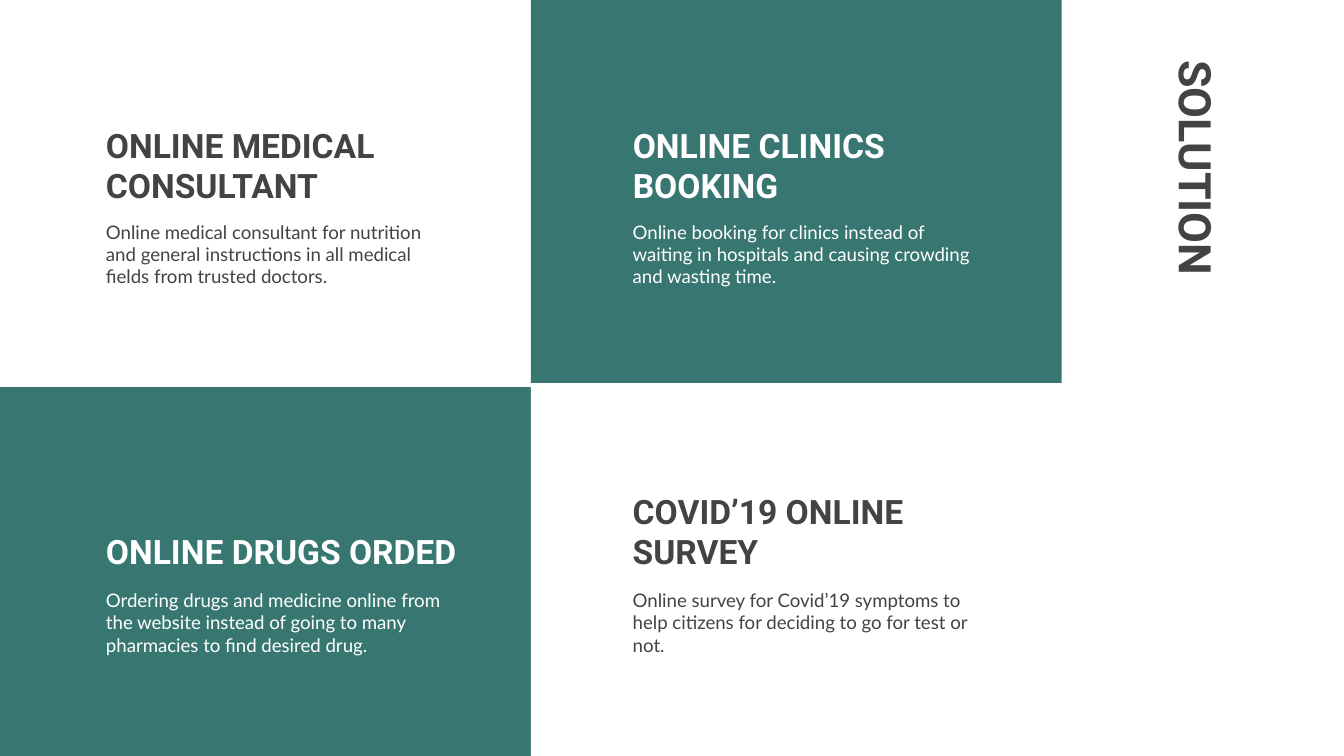
from pptx import Presentation
from pptx.dml.color import RGBColor
from pptx.enum.shapes import MSO_SHAPE
from pptx.enum.text import MSO_ANCHOR, MSO_AUTO_SIZE, PP_ALIGN
from pptx.util import Inches, Pt

RECT = MSO_SHAPE.RECTANGLE
TOP, MIDDLE, BOTTOM = MSO_ANCHOR.TOP, MSO_ANCHOR.MIDDLE, MSO_ANCHOR.BOTTOM
LEFT = PP_ALIGN.LEFT
NO_FIT = MSO_AUTO_SIZE.NONE

COLORS = {"teal": "387771", "white": "FFFFFF", "dark": "434343"}
HEAD_FONT, BODY_FONT = "Roboto", "Lato"
TITLE_ONLY = 5

COL_W = 3.95
ROW_Y = 2.88
HEAD_H = 0.71


def rgb(name):
    return RGBColor.from_string(COLORS[name])


def place(sp, x, y, w, h):
    sp.left, sp.top, sp.width, sp.height = (Inches(v) for v in (x, y, w, h))


def write(sp, text, size=10, font=BODY_FONT, color="dark", bold=False, anchor=TOP):
    tf = sp.text_frame
    tf.word_wrap = True
    tf.auto_size = NO_FIT
    tf.vertical_anchor = anchor
    tf.margin_left = tf.margin_right = Inches(0.1)
    tf.margin_top = tf.margin_bottom = Inches(0.1)
    p = tf.paragraphs[0]
    p.alignment = LEFT
    p.space_before = Pt(0)
    r = p.add_run()
    r.text = text
    r.font.size = Pt(size)
    r.font.name = font
    r.font.bold = bold
    r.font.color.rgb = rgb(color)


def add_title(slide, text, x, y, w, h):
    """Title turned to read downwards."""
    sp = slide.shapes.title
    place(sp, x, y, w, h)
    sp.rotation = 90
    write(sp, text, size=24, font=HEAD_FONT, bold=True, anchor=MIDDLE)


def add_text(slide, text, box, **fmt):
    sp = slide.shapes.add_textbox(*(Inches(v) for v in box))
    write(sp, text, **fmt)


def add_card(slide, box, heading, body, fill, color, dx, head_dy, body_dy,
             head_w, body_w, body_h):
    """Panel with a heading over a short text, both offset from its corner."""
    x, y, w, h = box
    if fill:
        sp = slide.shapes.add_shape(RECT, *(Inches(v) for v in box))
        sp.shadow.inherit = False
        sp.fill.solid()
        sp.fill.fore_color.rgb = rgb(fill)
        sp.line.fill.background()
    add_text(slide, heading, (x + dx, y + head_dy, head_w, HEAD_H),
             size=18, font=HEAD_FONT, color=color, bold=True, anchor=BOTTOM)
    add_text(slide, body, (x + dx, y + body_dy, body_w, body_h), color=color)


def main():
    prs = Presentation()
    prs.slide_width = Inches(10)
    prs.slide_height = prs.slide_width * 9 // 16
    slide = prs.slides.add_slide(prs.slide_layouts[TITLE_ONLY])

    add_title(slide, "SOLUTION", 7.31, 1.68, 3.19, 0.53)

    # Top row
    top_left = (0, -0.03, COL_W, 2.88)
    top_right = (COL_W, -0.03, COL_W, 2.88)
    add_card(slide, top_left, "ONLINE MEDICAL CONSULTANT",
             "Online medical consultant for nutrition and general instructions "
             "in all medical fields from trusted doctors.",
             None, "dark", 0.69, 0.95, 1.57, 3.14, 2.71, 0.59)
    add_card(slide, top_right, "ONLINE CLINICS BOOKING",
             "Online booking for clinics instead of waiting in hospitals "
             "and causing crowding and wasting time.",
             "teal", "white", 0.66, 0.95, 1.57, 2.95, 2.83, 0.82)

    # Bottom row
    bottom_left = (0, ROW_Y, COL_W, 2.75)
    bottom_right = (COL_W, ROW_Y, COL_W, 2.75)
    add_card(slide, bottom_left, "ONLINE DRUGS ORDED",
             "Ordering drugs and medicine online from the website instead "
             "of going to many pharmacies to find desired drug.",
             "teal", "white", 0.69, 0.76, 1.4, 3.14, 2.71, 1.03)
    add_card(slide, bottom_right, "COVID’19 ONLINE SURVEY",
             "Online survey for Covid’19 symptoms to help citizens "
             "for deciding to go for test or not.",
             "white", "dark", 0.66, 0.76, 1.4, 2.83, 2.83, 0.82)

    prs.save("out.pptx")


if __name__ == "__main__":
    main()
